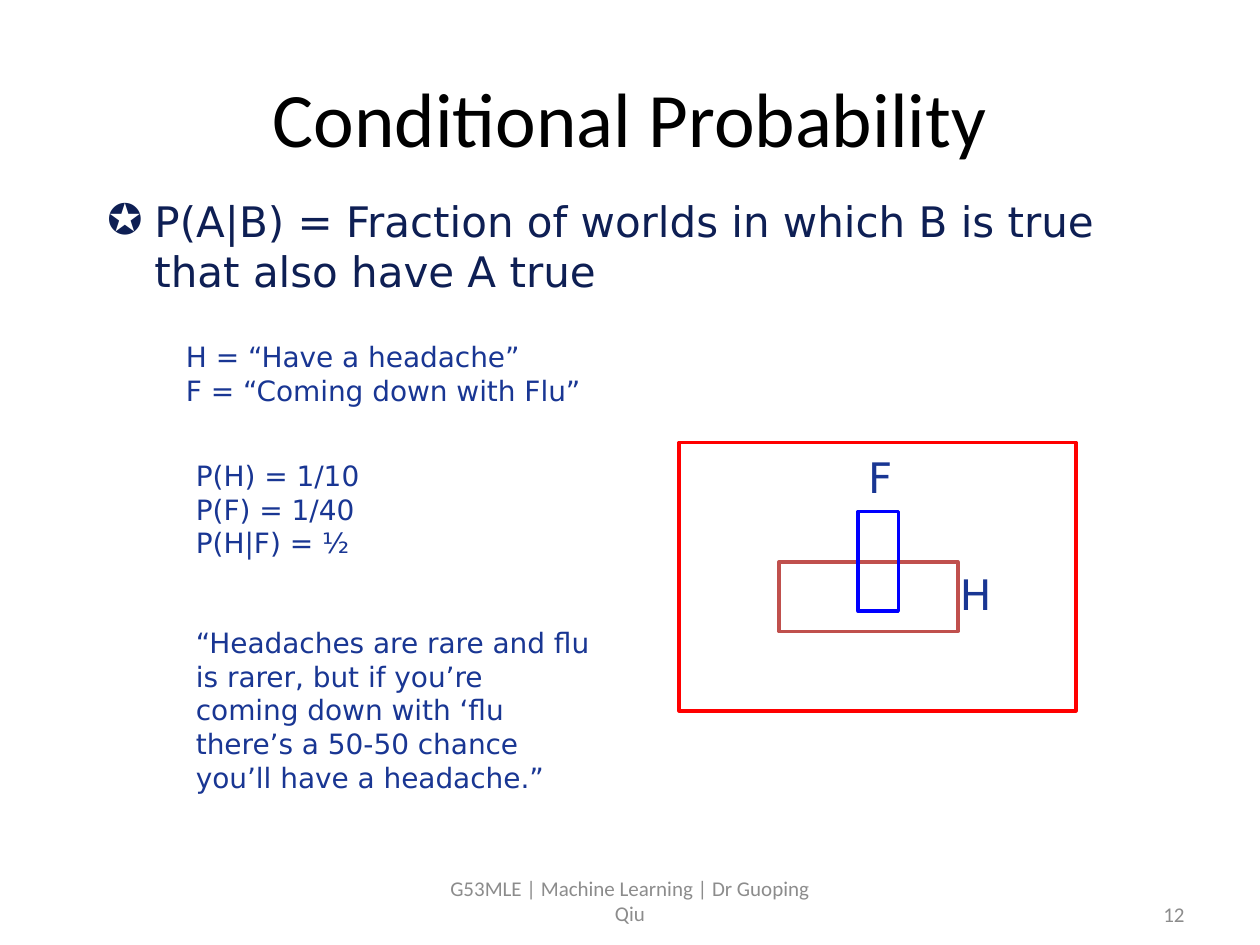
"""Build the conditional probability slide."""
import pptx
import pptx.dml.color
import pptx.enum.shapes
import pptx.enum.text
import pptx.oxml
import pptx.oxml.ns
import pptx.util

Cm = pptx.util.Cm
Pt = pptx.util.Pt
Align = pptx.enum.text.PP_ALIGN
Anchor = pptx.enum.text.MSO_ANCHOR
NAVY, BLUE, GREY = "0E1F54", "193693", "8C8C8C"


def color(value):
    return pptx.dml.color.RGBColor.from_string(value)


def write(box, lines, size, font, ink, align=Align.LEFT):
    frame = box.text_frame
    frame.text = "\n".join(lines)
    for para in frame.paragraphs:
        para.alignment = align
        para.font.size = Pt(size)
        para.font.name = font
        para.font.color.rgb = color(ink)
    return frame


deck = pptx.Presentation()
deck.slide_width, deck.slide_height = Cm(25.4), Cm(19.05)
page = deck.slides.add_slide(deck.slide_layouts[1])

title = page.shapes.title
title.left, title.top, title.width, title.height = Cm(1.27), Cm(0.76), Cm(22.86), Cm(3.18)
write(title, ["Conditional Probability"], 44, "Calibri", "000000", Align.CENTER)

definition = page.placeholders[1]
definition.left, definition.top = Cm(1.91), Cm(3.81)
definition.width, definition.height = Cm(21.59), Cm(13.02)
frame = write(
    definition,
    ["P(A|B) = Fraction of worlds in which B is true that also have A true"],
    24, "DejaVu Sans", NAVY,
)
frame.auto_size = pptx.enum.text.MSO_AUTO_SIZE.NONE
bullet = frame.paragraphs[0]._p.get_or_add_pPr()
bullet.set("marL", str(Cm(0.95)))
bullet.set("indent", str(-Cm(0.95)))
namespace = pptx.oxml.ns.nsdecls("a")
for xml in (
    f'<a:buClr {namespace}><a:srgbClr val="{NAVY}"/></a:buClr>',
    f'<a:buChar {namespace} char="✪"/>',
):
    bullet.append(pptx.oxml.parse_xml(xml))

events = ["H = “Have a headache”", "F = “Coming down with Flu”"]
reasoning = [
    "P(H) = 1/10",
    "P(F) = 1/40",
    "P(H|F) = ½",
    "“Headaches are rare and flu",
    "is rarer, but if you’re",
    "coming down with ‘flu",
    "there’s a 50-50 chance",
    "you’ll have a headache.”",
]
for left, top, height, lines in ((3.5, 6.73, 1.63, events), (3.7, 9.12, 7.04, reasoning)):
    box = page.shapes.add_textbox(Cm(left), Cm(top), Cm(12.7), Cm(height))
    frame = write(box, lines, 16, "DejaVu Sans", BLUE)
    frame.word_wrap = True
frame.paragraphs[3].space_before = Pt(38)

for left, top, width, height, ink in (
    (13.69, 8.92, 8, 5.41, "FF0000"),
    (15.7, 11.33, 3.61, 1.4, "C0504D"),
    (17.3, 10.31, 0.81, 2.01, "0000FF"),
):
    region = page.shapes.add_shape(
        pptx.enum.shapes.MSO_SHAPE.RECTANGLE, Cm(left), Cm(top), Cm(width), Cm(height)
    )
    region.shadow.inherit = False
    region.fill.background()
    region.line.color.rgb = color(ink)
    region.line.width = Pt(2)

for left, top, width, name in ((17.25, 8.97, 0.99, "F"), (19.1, 11.33, 1.14, "H")):
    label = page.shapes.add_textbox(Cm(left), Cm(top), Cm(width), Cm(1.27))
    write(label, [name], 24, "DejaVu Sans", BLUE).word_wrap = False

for left, top, width, text, align in (
    (8.68, 17.65, 8.04, "G53MLE | Machine Learning | Dr Guoping Qiu", Align.CENTER),
    (18.21, 17.91, 5.92, "12", Align.RIGHT),
):
    footer = page.shapes.add_textbox(Cm(left), Cm(top), Cm(width), Cm(1.02))
    frame = write(footer, [text], 12, "Calibri", GREY, align)
    frame.word_wrap = True
    frame.vertical_anchor = Anchor.MIDDLE

deck.save("out.pptx")
